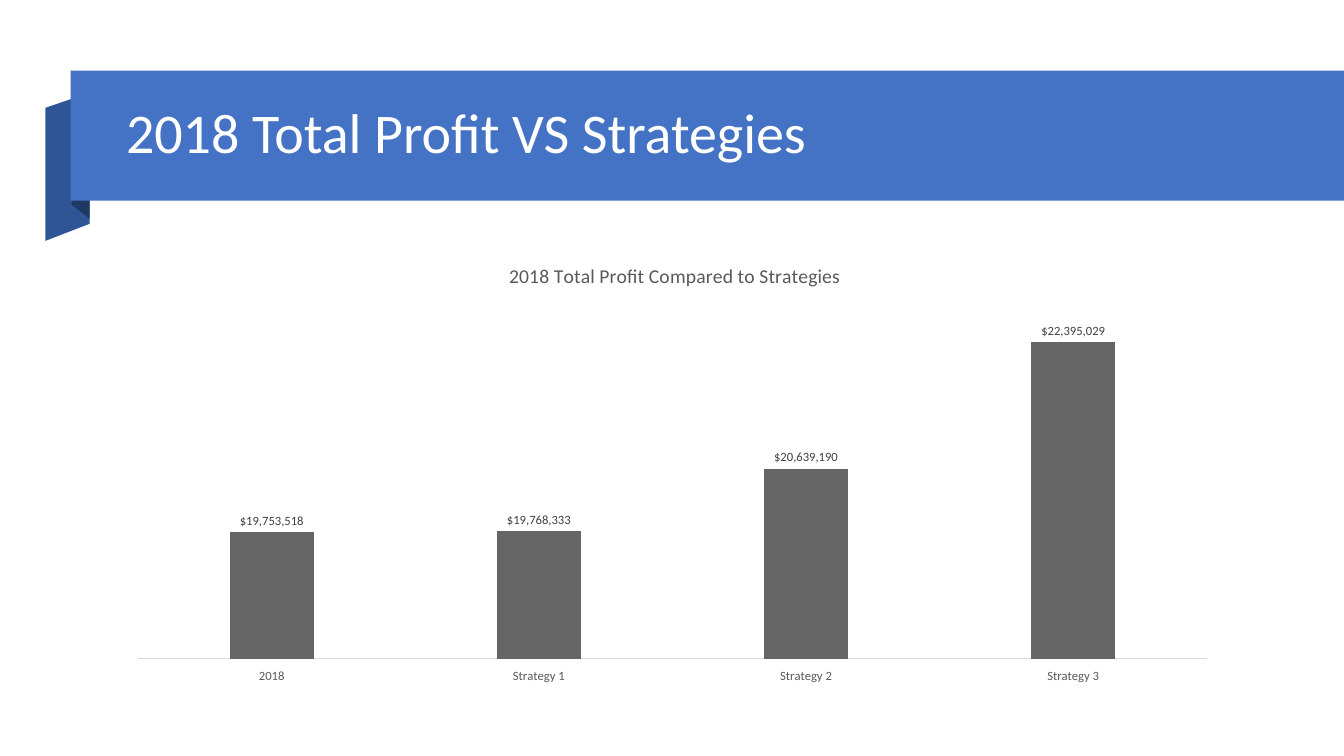
from dataclasses import dataclass

from lxml.etree import SubElement
from pptx import Presentation
from pptx.chart.data import CategoryChartData
from pptx.dml.color import RGBColor
from pptx.enum.chart import XL_CHART_TYPE, XL_LABEL_POSITION, XL_TICK_LABEL_POSITION, XL_TICK_MARK
from pptx.enum.shapes import MSO_SHAPE
from pptx.enum.text import MSO_ANCHOR, PP_ALIGN
from pptx.oxml.ns import qn
from pptx.util import Pt

PX = 9144
FONT = "Calibri"
DOLLARS = '"$"#,##0'
PROFITS = {
    "2018": 19753518,
    "Strategy 1": 19768333,
    "Strategy 2": 20639190,
    "Strategy 3": 22395029,
}


@dataclass(frozen=True)
class Fold:
    points: tuple[tuple[int, int], ...]
    color: str


FOLDS = (
    Fold(((89, 222), (45, 239), (45, 107), (89, 92)), "2F5597"),
    Fold(((89, 217), (71, 203), (71, 70), (89, 85)), "203864"),
)


def px(*lengths: int) -> list[int]:
    return [length * PX for length in lengths]


def rgb(color: str) -> RGBColor:
    return RGBColor.from_string(color)


def paint(shape, color: str) -> None:
    shape.fill.solid()
    shape.fill.fore_color.rgb = rgb(color)
    shape.line.fill.background()
    shape.shadow.inherit = False


def style_font(font, size: int, color: str) -> None:
    font.name = FONT
    font.size = Pt(size)
    font.bold = False
    font.color.rgb = rgb(color)


def draw_fold(slide, fold: Fold) -> None:
    builder = slide.shapes.build_freeform(*fold.points[0], scale=PX)
    builder.add_line_segments(fold.points[1:], close=True)
    paint(builder.convert_to_shape(), fold.color)


def place_title(slide) -> None:
    title = slide.shapes.title
    title.left, title.top, title.width, title.height = px(115, 86, 1127, 96)
    frame = title.text_frame
    frame.text = "2018 Total Profit VS Strategies"
    frame.vertical_anchor = MSO_ANCHOR.MIDDLE
    paragraph = frame.paragraphs[0]
    paragraph.alignment = PP_ALIGN.LEFT
    paragraph.line_spacing = 0.9
    style_font(paragraph.font, 40, "FFFFFF")
    tree = title._element.getparent()
    tree.remove(title._element)
    tree.append(title._element)


def set_layout(parent, index: int, **fractions: float) -> None:
    for old in parent.findall(qn("c:layout")):
        parent.remove(old)
    layout = SubElement(parent, qn("c:layout"))
    manual = SubElement(layout, qn("c:manualLayout"))
    if "w" in fractions:
        SubElement(manual, qn("c:layoutTarget")).set("val", "inner")
    for axis in ("x", "y"):
        SubElement(manual, qn(f"c:{axis}Mode")).set("val", "edge")
    for name, fraction in fractions.items():
        SubElement(manual, qn(f"c:{name}")).set("val", str(fraction))
    parent.insert(index, layout)


def add_profit_chart(slide) -> None:
    data = CategoryChartData(number_format=DOLLARS)
    data.categories = list(PROFITS)
    data.add_series("Series 1", list(PROFITS.values()))
    chart = slide.shapes.add_chart(
        XL_CHART_TYPE.COLUMN_CLUSTERED, *px(115, 239, 1104, 441), data
    ).chart
    style_font(chart.font, 10, "000000")
    chart.has_legend = False

    chart.chart_title.include_in_layout = False
    frame = chart.chart_title.text_frame
    frame.text = "2018 Total Profit Compared to Strategies"
    style_font(frame.paragraphs[0].font, 14, "595959")
    set_layout(chart.chart_title._element, 1, x=0.35, y=0.04)

    categories = chart.category_axis
    categories.major_tick_mark = XL_TICK_MARK.NONE
    categories.tick_label_position = XL_TICK_LABEL_POSITION.LOW
    style_font(categories.tick_labels.font, 9, "595959")
    categories.format.line.color.rgb = rgb("D9D9D9")
    categories.format.line.width = Pt(0.75)

    values = chart.value_axis
    values.visible = False
    values.has_major_gridlines = False
    values.minimum_scale = 18000000
    values.maximum_scale = 23000000
    values.tick_labels.number_format = DOLLARS
    values.tick_labels.number_format_is_linked = False

    plot = chart.plots[0]
    plot.gap_width = 219
    plot.overlap = -27
    plot.vary_by_categories = False
    set_layout(plot._element.getparent(), 0, x=0.02, y=0.13, w=0.96, h=0.81)
    series = plot.series[0]
    series.format.fill.solid()
    series.format.fill.fore_color.rgb = rgb("656565")
    labels = series.data_labels
    labels.show_value = True
    labels.position = XL_LABEL_POSITION.OUTSIDE_END
    labels.number_format = DOLLARS
    labels.number_format_is_linked = False
    style_font(labels.font, 9, "404040")


def main() -> None:
    presentation = Presentation()
    presentation.slide_width, presentation.slide_height = px(1333, 750)
    slide = presentation.slides.add_slide(presentation.slide_layouts[5])
    for fold in FOLDS:
        draw_fold(slide, fold)
    banner = slide.shapes.add_shape(MSO_SHAPE.RECTANGLE, *px(70, 70, 1263, 129))
    paint(banner, "4472C4")
    place_title(slide)
    add_profit_chart(slide)
    presentation.save("out.pptx")


if __name__ == "__main__":
    main()
